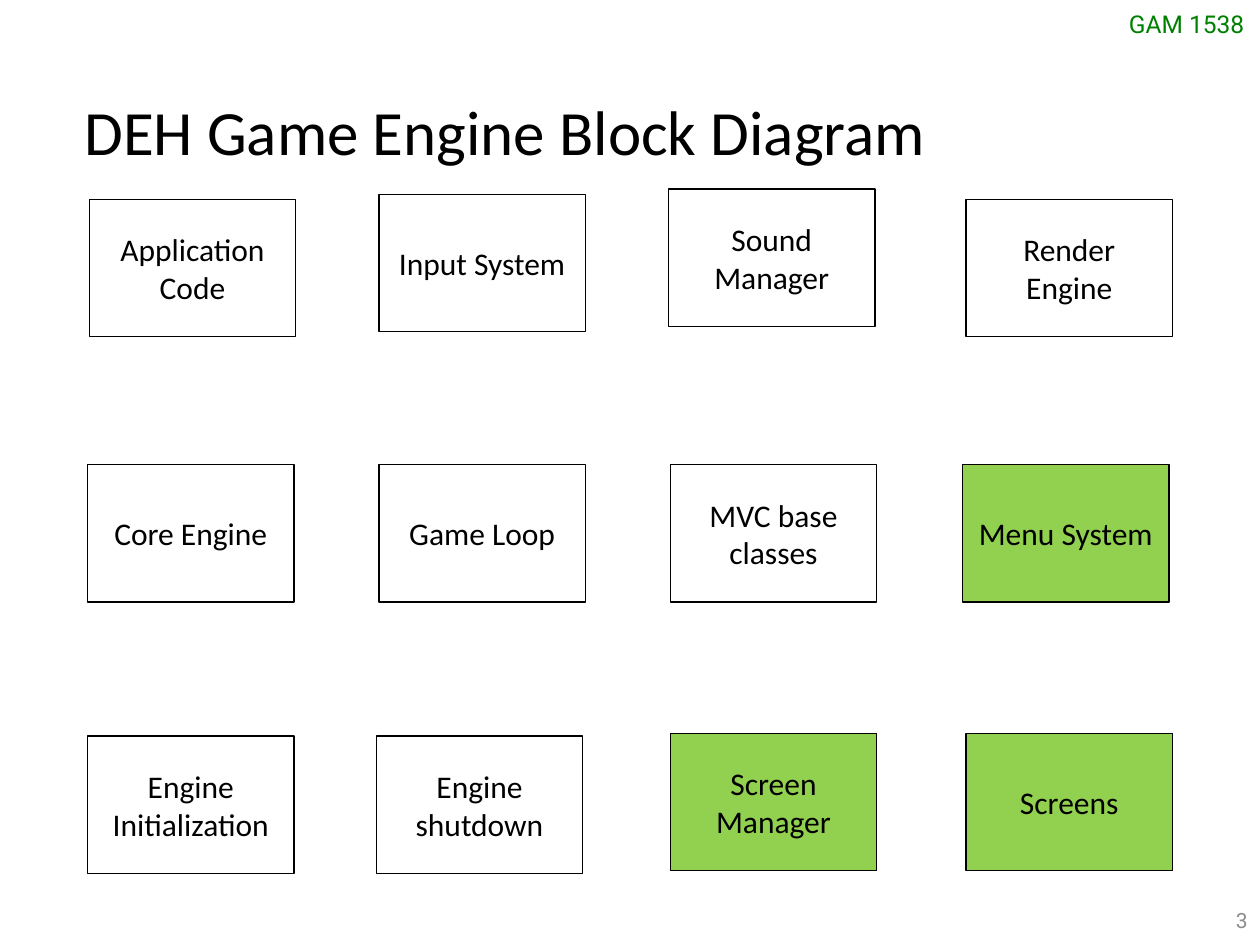
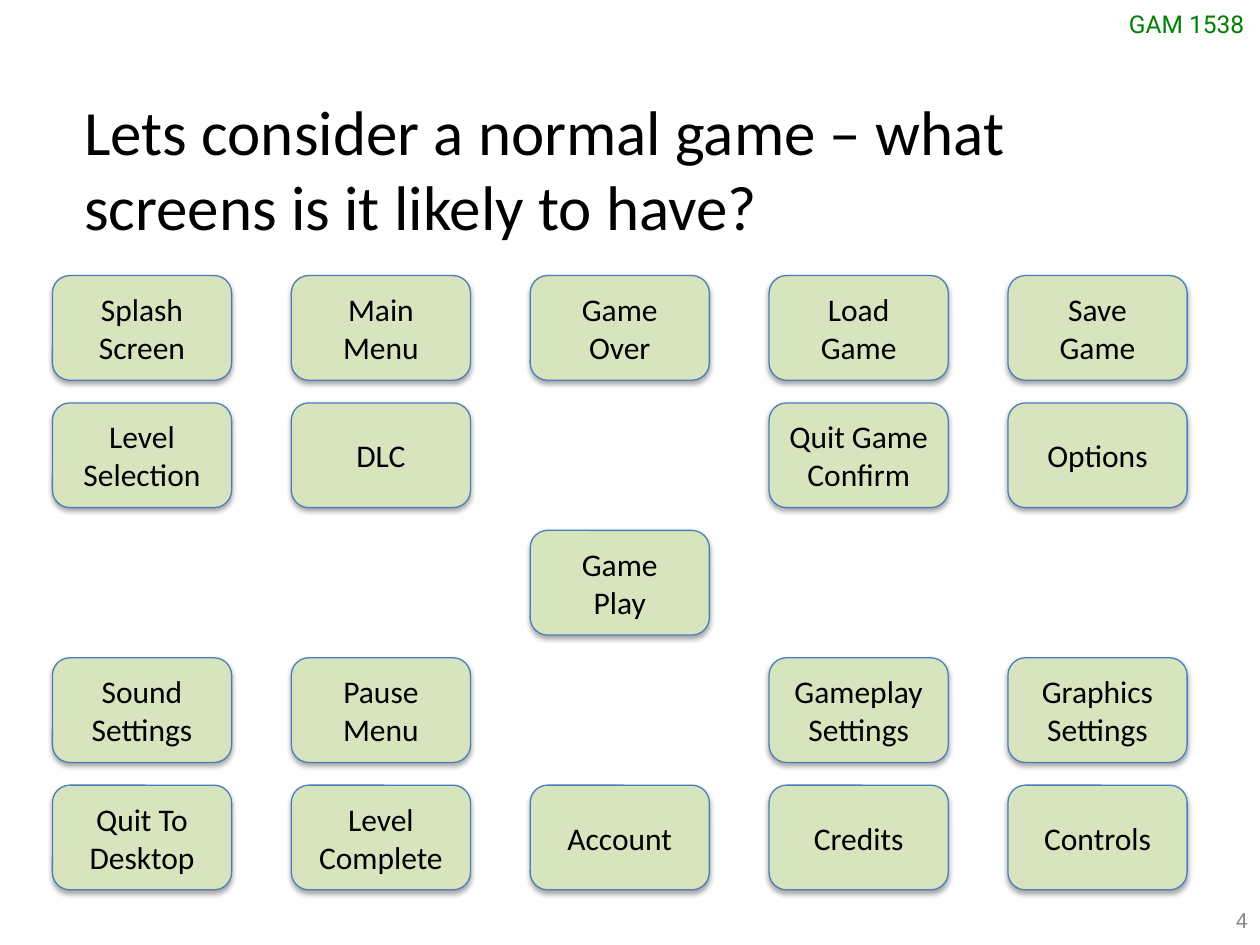
from dataclasses import dataclass
from lxml.etree import SubElement as Sub
from pptx import Presentation
from pptx.dml.color import RGBColor as RGB
from pptx.enum.shapes import MSO_SHAPE as Kind
from pptx.enum.text import MSO_ANCHOR as Anchor, MSO_AUTO_SIZE as Fit, PP_ALIGN as Align
from pptx.oxml.ns import qn
from pptx.util import Pt


@dataclass(frozen=True)
class Theme:
    black: str = "000000"
    white: str = "FFFFFF"
    lime: str = "92D050"
    sage: str = "D7E4BD"
    blue: str = "4B7EBC"
    green: str = "008000"
    grey: str = "8C8C8C"
    body: str = "Calibri"
    side: str = "Roboto"
    head: int = 36
    label: int = 18
    tag: int = 14
    page: int = 12
    line: float = 0.75


look = Theme()


def write(shape, text, size, font=look.body, color=look.black, align=Align.CENTER):
    frame = shape.text_frame
    for i, part in enumerate(text.split("\n")):
        para = frame.add_paragraph() if i else frame.paragraphs[0]
        para.alignment = align
        for j, words in enumerate(part.split("\v")):
            if j:
                para.add_line_break()
            run = para.add_run()
            run.text = words
            run.font.size = Pt(size)
            run.font.name = font
            run.font.color.rgb = RGB.from_string(color)


def block(slide, kind, spot, text, fill, edge):
    box = slide.shapes.add_shape(kind, *map(Pt, spot))
    box.shadow.inherit = False
    box.fill.solid()
    box.fill.fore_color.rgb = RGB.from_string(fill)
    box.line.color.rgb = RGB.from_string(edge)
    box.line.width = Pt(look.line)
    box.text_frame.vertical_anchor = Anchor.MIDDLE
    write(box, text, look.label)
    return box


deck = Presentation()
deck.slide_width, deck.slide_height = Pt(720), Pt(540)

heads = [
    (3, "DEH Game Engine Block Diagram", 51),
    (4, "Lets consider a normal game – what screens is it likely to have?", 94.5),
]
for page, text, high in heads:
    slide = deck.slides.add_slide(deck.slide_layouts[5])
    title = slide.shapes.title
    title.left, title.top, title.width, title.height = map(Pt, (41, 49, 638.6, high))
    title.text_frame.word_wrap = True
    title.text_frame.auto_size = Fit.NONE
    title.text_frame.vertical_anchor = Anchor.TOP
    write(title, text, look.head, align=Align.LEFT)

    tag = slide.shapes.add_textbox(Pt(638), Pt(1.5), Pt(82), Pt(24.5))
    tag.text_frame.word_wrap = False
    write(tag, "GAM 1538", look.tag, look.side, look.green, Align.LEFT)

    foot = slide.shapes.add_textbox(Pt(552), Pt(511), Pt(168), Pt(29))
    foot.text_frame.word_wrap = True
    foot.text_frame.vertical_anchor = Anchor.MIDDLE
    write(foot, str(page), look.page, look.side, look.grey, Align.RIGHT)

engine, game = deck.slides

parts = [
    ("Application Code", 51, 114), ("Input System", 216.5, 111),
    ("Sound Manager", 382, 108), ("Render\nEngine", 552, 114),
    ("Core Engine", 50, 265.5), ("Game Loop", 216.5, 265.5),
    ("MVC base classes", 383, 265.5), ("Menu System", 550, 265.5),
    ("Engine Initialization", 50, 420.5), ("Engine shutdown", 215, 420.5),
    ("Screen Manager", 383, 419), ("Screens", 552, 419),
]
menus = {"Menu System", "Screen Manager", "Screens"}
for text, x, y in parts:
    fill = look.lime if text in menus else look.white
    block(engine, Kind.RECTANGLE, (x, y, 118, 78.5), text, fill, look.black)

grid = [
    ["Splash\vScreen", "Main Menu", "Game Over", "Load Game", "Save\vGame"],
    ["Level\nSelection", "DLC", "", "Quit Game\nConfirm", "Options"],
    ["", "", "Game\vPlay", "", ""],
    ["Sound\vSettings", "Pause\nMenu", "", "Gameplay\nSettings", "Graphics\nSettings"],
    ["Quit To\vDesktop", "Level\nComplete", "Account", "Credits", "Controls"],
]
for j, row in enumerate(grid):
    for i, text in enumerate(row):
        if not text:
            continue
        spot = (30 + 136.5 * i, 157.5 + 72.8 * j, 102.4, 59.8)
        box = block(game, Kind.ROUNDED_RECTANGLE, spot, text, look.sage, look.blue)
        glow = box.element.spPr.find(qn("a:effectLst"))
        cast = Sub(glow, qn("a:outerShdw"), blurRad=str(Pt(3.1)), dist=str(Pt(1.8)),
                   dir="5400000", rotWithShape="0")
        tint = Sub(cast, qn("a:srgbClr"), val=look.black)
        Sub(tint, qn("a:alpha"), val="35000")

deck.save("out.pptx")
